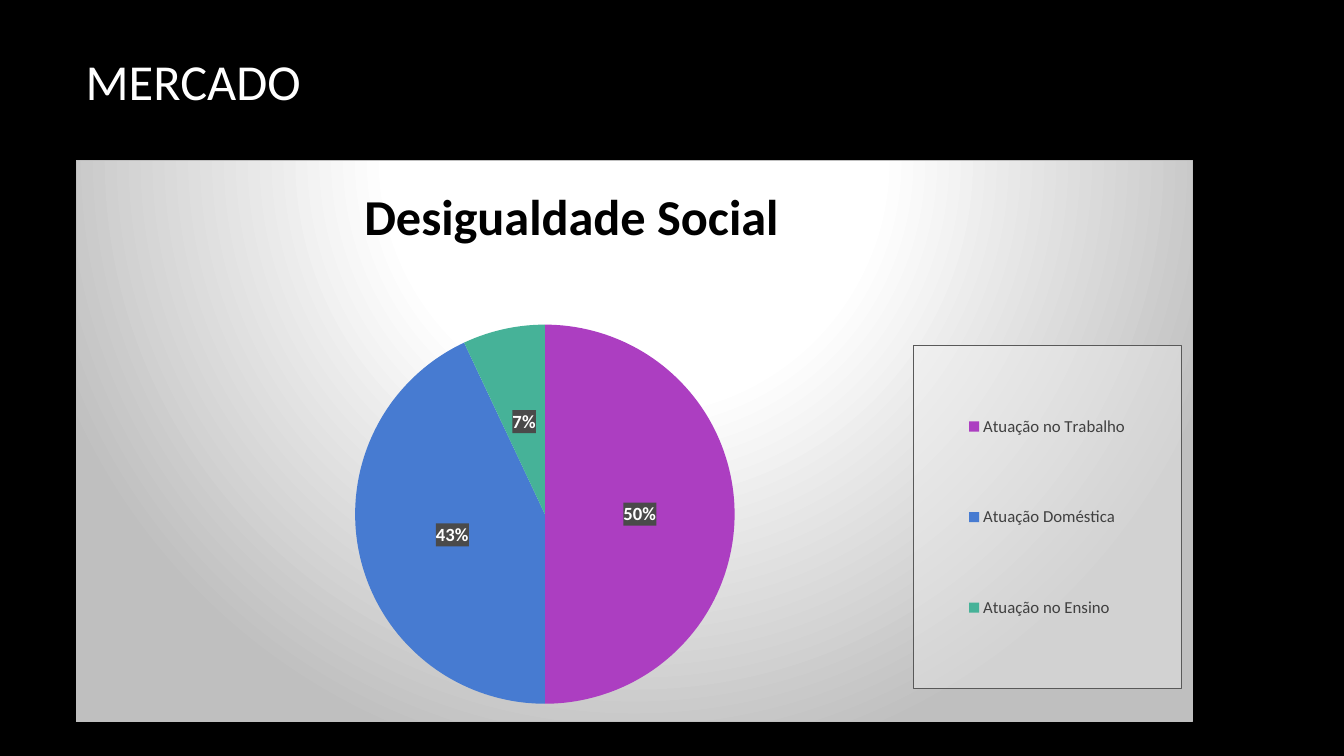
from dataclasses import dataclass

from pptx import Presentation
from pptx.chart.data import CategoryChartData as Data
from pptx.dml.color import RGBColor as RGB
from pptx.enum.chart import XL_CHART_TYPE as Kind
from pptx.enum.chart import XL_LABEL_POSITION as Spot
from pptx.enum.chart import XL_LEGEND_POSITION as Side
from pptx.enum.text import MSO_ANCHOR as Anchor
from pptx.enum.text import PP_ALIGN as Align
from pptx.oxml import parse_xml
from pptx.oxml.ns import nsdecls, qn
from pptx.util import Pt

# Content
TITLE = "MERCADO"
HEAD = "Desigualdade Social"
SHARES = {
    "Atuação no Trabalho": (50, "AC3EC1"),
    "Atuação Doméstica": (43, "477BD1"),
    "Atuação no Ensino": (7, "46B298"),
}


@dataclass(frozen=True)
class Theme:
    face: str = "Calibri"
    back: str = "000000"
    white: str = "FFFFFF"
    black: str = "000000"
    ink: str = "404040"
    tag: str = "4A4A4A"
    edge: str = "595959"
    pale: str = "F2F2F2"
    gray: str = "BFBFBF"
    big: float = 36
    label: float = 13.3
    key: float = 12
    base: float = 10


T = Theme()

# Places: left, top, width, height in points
WIDE, HIGH = 960, 540
LEFT, SPAN = 54, 798
BAND = 114.5
CHART = (LEFT, BAND, SPAN, 401.5)
# Shares of the chart area
HEAD_AT = (0.25, 0.02)
PIE_AT = (0.25, 0.29, 0.34, 0.68)
KEY_AT = (0.75, 0.33, 0.24, 0.61)


def style(font, size, color, bold=False):
    font.name, font.size, font.bold = T.face, Pt(size), bold
    font.color.rgb = RGB.from_string(color)


def write(frame, text, size, color, bold=False, align=Align.LEFT):
    frame.text = text
    para = frame.paragraphs[0]
    para.alignment = align
    style(para.runs[0].font, size, color, bold)


def solid(color, alpha=100):
    return (f'<a:solidFill><a:srgbClr val="{color}">'
            f'<a:alpha val="{alpha * 1000}"/></a:srgbClr></a:solidFill>')


def line(color):
    return f'<a:ln w="{Pt(0.75)}">{solid(color)}</a:ln>'


def paint(after, inner):
    """Put shape properties just before the given chart element."""
    after.addprevious(parse_xml(
        f'<c:spPr {nsdecls("c", "a")}>{inner}</c:spPr>'))


def place(part, spot, index, inner=False):
    """Give a chart part a fixed layout, as shares of the chart."""
    for old in part.findall(qn("c:layout")):
        part.remove(old)
    names = ("x", "y", "w", "h")[:len(spot)]
    rows = '<c:layoutTarget val="inner"/>' if inner else ""
    rows += "".join(f'<c:{n}Mode val="edge"/>' for n in names[:2])
    rows += "".join(f'<c:{n} val="{v}"/>' for n, v in zip(names, spot))
    part.insert(index, parse_xml(
        f'<c:layout {nsdecls("c")}><c:manualLayout>{rows}'
        '</c:manualLayout></c:layout>'))


# Slide and title
deck = Presentation()
deck.slide_width, deck.slide_height = Pt(WIDE), Pt(HIGH)
slide = deck.slides.add_slide(deck.slide_layouts[5])
slide.background.fill.solid()
slide.background.fill.fore_color.rgb = RGB.from_string(T.back)
title = slide.shapes.title
title.left, title.top, title.width, title.height = map(
    Pt, (LEFT, 0, SPAN, BAND))
title.text_frame.vertical_anchor = Anchor.MIDDLE
write(title.text_frame, TITLE, T.big, T.white)

# Pie chart
data = Data()
data.categories = list(SHARES)
data.add_series("Series 1", [value for value, _ in SHARES.values()])
chart = slide.shapes.add_chart(Kind.PIE, *map(Pt, CHART), data).chart
style(chart.font, T.base, T.white)
plot = chart.plots[0]
plot.vary_by_categories = True
for i, (_, color) in enumerate(SHARES.values()):
    fill = plot.series[0].points[i].format.fill
    fill.solid()
    fill.fore_color.rgb = RGB.from_string(color)
root = chart.element
place(root.find(".//" + qn("c:plotArea")), PIE_AT, 0, inner=True)

# Chart title
chart.has_title = True
write(chart.chart_title.text_frame, HEAD, T.big, T.black,
      bold=True, align=Align.CENTER)
place(root.find(".//" + qn("c:title")), HEAD_AT, 1)

# Percent labels
plot.has_data_labels = True
labels = plot.data_labels
labels.show_percentage, labels.show_value = True, False
labels.number_format, labels.number_format_is_linked = "0%", False
labels.position = Spot.CENTER
style(labels.font, T.label, T.white, bold=True)
paint(root.find(".//" + qn("c:dLbls")).find(qn("c:txPr")), solid(T.tag))

# Legend
chart.has_legend = True
legend = chart.legend
legend.position, legend.include_in_layout = Side.RIGHT, False
style(legend.font, T.key, T.ink)
box = root.find(".//" + qn("c:legend"))
place(box, KEY_AT, 1)
paint(box.find(qn("c:txPr")), solid(T.pale, 39) + line(T.edge))

# Chart area with a round gradient
stops = "".join(
    f'<a:gs pos="{at * 1000}"><a:srgbClr val="{color}"/></a:gs>'
    for at, color in ((0, T.white), (39, T.white), (100, T.gray)))
paint(root.find(qn("c:txPr")),
      f'<a:gradFill><a:gsLst>{stops}</a:gsLst><a:path path="circle">'
      '<a:fillToRect l="50000" t="-80000" r="50000" b="180000"/>'
      f'</a:path></a:gradFill>{line(T.gray)}')

deck.save("out.pptx")
